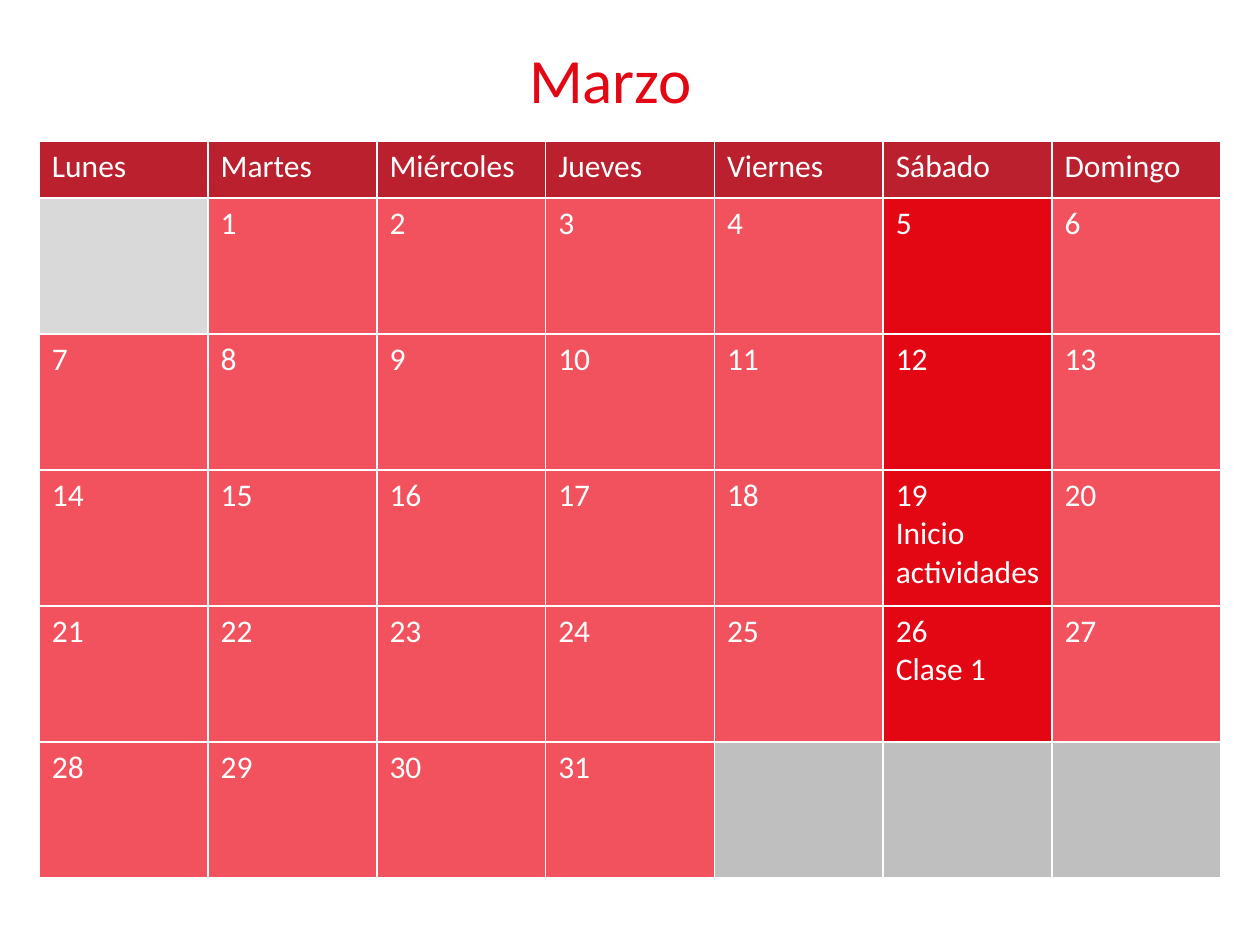
import pptx
import pptx.util
import pptx.dml.color
import pptx.oxml
import pptx.oxml.ns
from pptx.util import Pt

FONT = "Calibri"
MONTH = "Marzo"
WEEKDAYS = ["Lunes", "Martes", "Miércoles", "Jueves", "Viernes", "Sábado", "Domingo"]
FIRST_COL, DAYS, WEEKS = 1, 31, 5
EVENTS = {19: "Inicio actividades", 26: "Clase 1"}
SATURDAY = 5
WHITE, HEADER, DAY, RED = "FFFFFF", "BA202E", "F2525E", "E30613"
BEFORE, AFTER = "D9D9D9", "BFBFBF"
LEFT, TOP, COL_W, HEAD_H, WEEK_H = 22.5, 80.8, 96.45, 32.4, 77.75


def rgb(color):
    """Turn a hex string into a colour."""
    return pptx.dml.color.RGBColor.from_string(color)


def style_text(tf, size, color):
    """Format every run of a text frame."""
    for p in tf.paragraphs:
        for r in p.runs:
            r.font.name, r.font.size = FONT, Pt(size)
            r.font.color.rgb = rgb(color)


def add_borders(cell, color, width):
    """Draw the four borders of a cell."""
    tc_pr = cell._tc.get_or_add_tcPr()
    for side in "LRTB":
        tc_pr.append(pptx.oxml.parse_xml(
            f'<a:ln{side} {pptx.oxml.ns.nsdecls("a")} w="{Pt(width)}"><a:solidFill>'
            f'<a:srgbClr val="{color}"/></a:solidFill></a:ln{side}>'))


def fill_cell(cell, text, color):
    """Set the text, borders and fill of a cell."""
    add_borders(cell, WHITE, 1)
    cell.fill.solid()
    cell.fill.fore_color.rgb = rgb(color)
    cell.text_frame.text = text
    style_text(cell.text_frame, 18, WHITE)


def day_content(week, col):
    """Return the text and fill for a place in the month grid."""
    day = week * 7 + col - FIRST_COL + 1
    if day < 1:
        return "", BEFORE
    if day > DAYS:
        return "", AFTER
    text = f"{day}\n{EVENTS[day]}" if day in EVENTS else str(day)
    return text, RED if col == SATURDAY else DAY


prs = pptx.Presentation()
prs.slide_width, prs.slide_height = Pt(720), Pt(540)
s = prs.slides.add_slide(prs.slide_layouts[6])

table = s.shapes.add_table(WEEKS + 1, 7, Pt(LEFT), Pt(TOP), Pt(7 * COL_W),
                           Pt(HEAD_H + WEEKS * WEEK_H)).table
table.first_row = table.horz_banding = False
for i, row in enumerate(table.rows):
    row.height = Pt(WEEK_H if i else HEAD_H)
for col, name in enumerate(WEEKDAYS):
    table.columns[col].width = Pt(COL_W)
    fill_cell(table.cell(0, col), name, HEADER)
    for week in range(WEEKS):
        fill_cell(table.cell(week + 1, col), *day_content(week, col))

title = s.shapes.add_textbox(Pt(295.2), Pt(19.5), Pt(109.4), Pt(51))
title.text_frame.word_wrap = False
title.text_frame.text = MONTH
style_text(title.text_frame, 36, RED)

prs.save("out.pptx")
